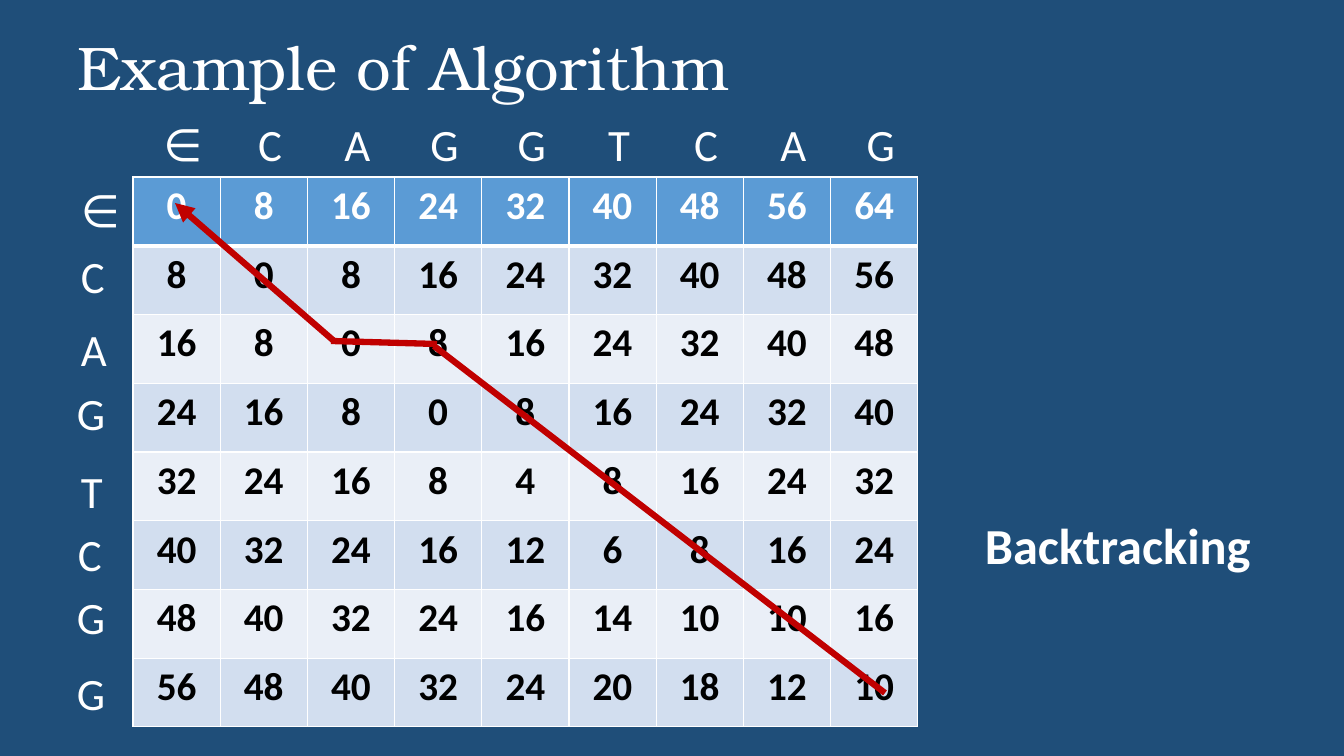
import pptx
import pptx.util
import pptx.oxml
import pptx.dml.color
import pptx.enum.shapes
import pptx.enum.text
from pptx.oxml.ns import qn

SCALE = 914400 / 100.8
RGB = pptx.dml.color.RGBColor
NAVY = RGB(0x1F, 0x4E, 0x79)
WHITE = RGB(0xFF, 0xFF, 0xFF)
BLACK = RGB(0x00, 0x00, 0x00)
HEADER_BLUE = RGB(0x5B, 0x9B, 0xD5)
BAND_DARK = RGB(0xD2, 0xDE, 0xEF)
BAND_LIGHT = RGB(0xEA, 0xEF, 0xF7)
PATH_RED = RGB(0xC0, 0x00, 0x00)
LEFT = pptx.enum.text.PP_ALIGN.LEFT
CENTER = pptx.enum.text.PP_ALIGN.CENTER
TOP = pptx.enum.text.MSO_ANCHOR.TOP
MIDDLE = pptx.enum.text.MSO_ANCHOR.MIDDLE

COLUMN_LETTERS = "∈CAGGTCAG"
ROW_LABELS = [
    ("∈", 71, 178, 302),
    ("C", 71, 244, 302),
    ("A", 71, 317, 51),
    ("G", 67, 381, 51),
    ("T", 71, 459, 51),
    ("C", 68, 522, 46),
    ("G", 67, 585, 55),
    ("G", 67, 661, 55),
]
SCORES = [
    [0, 8, 16, 24, 32, 40, 48, 56, 64],
    [8, 0, 8, 16, 24, 32, 40, 48, 56],
    [16, 8, 0, 8, 16, 24, 32, 40, 48],
    [24, 16, 8, 0, 8, 16, 24, 32, 40],
    [32, 24, 16, 8, 4, 8, 16, 24, 32],
    [40, 32, 24, 16, 12, 6, 8, 16, 24],
    [48, 40, 32, 24, 16, 14, 10, 10, 16],
    [56, 48, 40, 32, 24, 20, 18, 12, 10],
]
TABLE_LEFT, TABLE_TOP, TABLE_WIDTH, TABLE_HEIGHT = 133, 177, 785, 550
BACKTRACK_PATH = [
    ((334, 341), (175, 203), True),
    ((331, 341), (437, 344), False),
    ((434, 346), (885, 693), False),
]


def px(length):
    return pptx.util.Emu(round(length * SCALE))


def write(frame, text, *, size, color=WHITE, font="Calibri", bold=False,
          align=LEFT, spacing=None):
    para = frame.paragraphs[0]
    para.alignment = align
    para.line_spacing = spacing
    span = para.add_run()
    span.text = text
    span.font.name = font
    span.font.size = pptx.util.Pt(size)
    span.font.bold = bold
    span.font.color.rgb = color
    return para


def add_background(page, width, height):
    panel = page.shapes.add_shape(
        pptx.enum.shapes.MSO_SHAPE.RECTANGLE, 0, 0, width, height)
    panel.shadow.inherit = False
    panel.fill.solid()
    panel.fill.fore_color.rgb = NAVY
    panel.line.fill.background()
    page.shapes.element.insert(2, panel.element)


def add_title(page, text):
    title = page.shapes.title
    title.left, title.top, title.width, title.height = map(px, (67, 14, 923, 113))
    frame = title.text_frame
    frame.auto_size = pptx.enum.text.MSO_AUTO_SIZE.NONE
    frame.vertical_anchor = MIDDLE
    write(frame, text, size=44, font="TeX Gyre Bonum", spacing=0.9)


def add_label(page, text, left, top, width, height=64, **text_format):
    box = page.shapes.add_textbox(px(left), px(top), px(width), px(height))
    box.text_frame.word_wrap = True
    return write(box.text_frame, text, **text_format)


def add_column_letters(page):
    para = add_label(page, "\t" + "\t".join(COLUMN_LETTERS),
                     TABLE_LEFT, 112, 809, size=32)
    stops = pptx.oxml.parse_xml(
        '<a:tabLst xmlns:a="http://schemas.openxmlformats.org/drawingml/2006/main"/>')
    step = TABLE_WIDTH / len(COLUMN_LETTERS)
    for index in range(len(COLUMN_LETTERS)):
        stop = stops.makeelement(
            qn("a:tab"), {"pos": str(px(40 + index * step)), "algn": "ctr"})
        stops.append(stop)
    para._p.get_or_add_pPr().append(stops)


def add_border(cell, side, points):
    properties = cell._tc.get_or_add_tcPr()
    properties.append(pptx.oxml.parse_xml(
        '<a:ln%s xmlns:a="http://schemas.openxmlformats.org/drawingml/2006/main" w="%d">'
        '<a:solidFill><a:srgbClr val="%s"/></a:solidFill></a:ln%s>'
        % (side, pptx.util.Pt(points), WHITE, side)))


def fill_cell(cell, value, row):
    thick_side = {0: "B", 1: "T"}.get(row)
    for side in "LRTB":
        add_border(cell, side, 3 if side == thick_side else 1)
    cell.fill.solid()
    band = BAND_DARK if row % 2 else BAND_LIGHT
    cell.fill.fore_color.rgb = band if row else HEADER_BLUE
    cell.vertical_anchor = TOP
    write(cell.text_frame, str(value), size=28, bold=True, align=CENTER,
          color=BLACK if row else WHITE)


def add_score_table(page):
    frame = page.shapes.add_table(
        len(SCORES), len(SCORES[0]), px(TABLE_LEFT), px(TABLE_TOP),
        px(TABLE_WIDTH), px(TABLE_HEIGHT))
    table = frame.table
    for column in table.columns:
        column.width = px(TABLE_WIDTH / len(SCORES[0]))
    for row, values in enumerate(SCORES):
        table.rows[row].height = px(TABLE_HEIGHT / len(SCORES))
        for column, value in enumerate(values):
            fill_cell(table.cell(row, column), value, row)


def add_path_line(page, start, end, arrow):
    line = page.shapes.add_connector(
        pptx.enum.shapes.MSO_CONNECTOR.STRAIGHT, *map(px, start + end))
    line.line.color.rgb = PATH_RED
    line.line.width = pptx.util.Pt(4.5)
    properties = line.element.spPr
    if arrow:
        outline = properties.find(qn("a:ln"))
        outline.append(outline.makeelement(qn("a:tailEnd"), {"type": "triangle"}))
    properties.append(properties.makeelement(qn("a:effectLst"), {}))


def main():
    deck = pptx.Presentation()
    deck.slide_width, deck.slide_height = px(1344), px(756)
    page = deck.slides.add_slide(deck.slide_layouts[5])
    add_background(page, deck.slide_width, deck.slide_height)
    add_title(page, "Example of Algorithm")
    add_score_table(page)
    for letter, left, top, width in ROW_LABELS:
        add_label(page, letter, left, top, width, size=32)
    add_label(page, "Backtracking", 975, 509, 302, 72, size=36, bold=True)
    for start, end, arrow in BACKTRACK_PATH:
        add_path_line(page, start, end, arrow)
    add_column_letters(page)
    deck.save("out.pptx")


if __name__ == "__main__":
    main()
